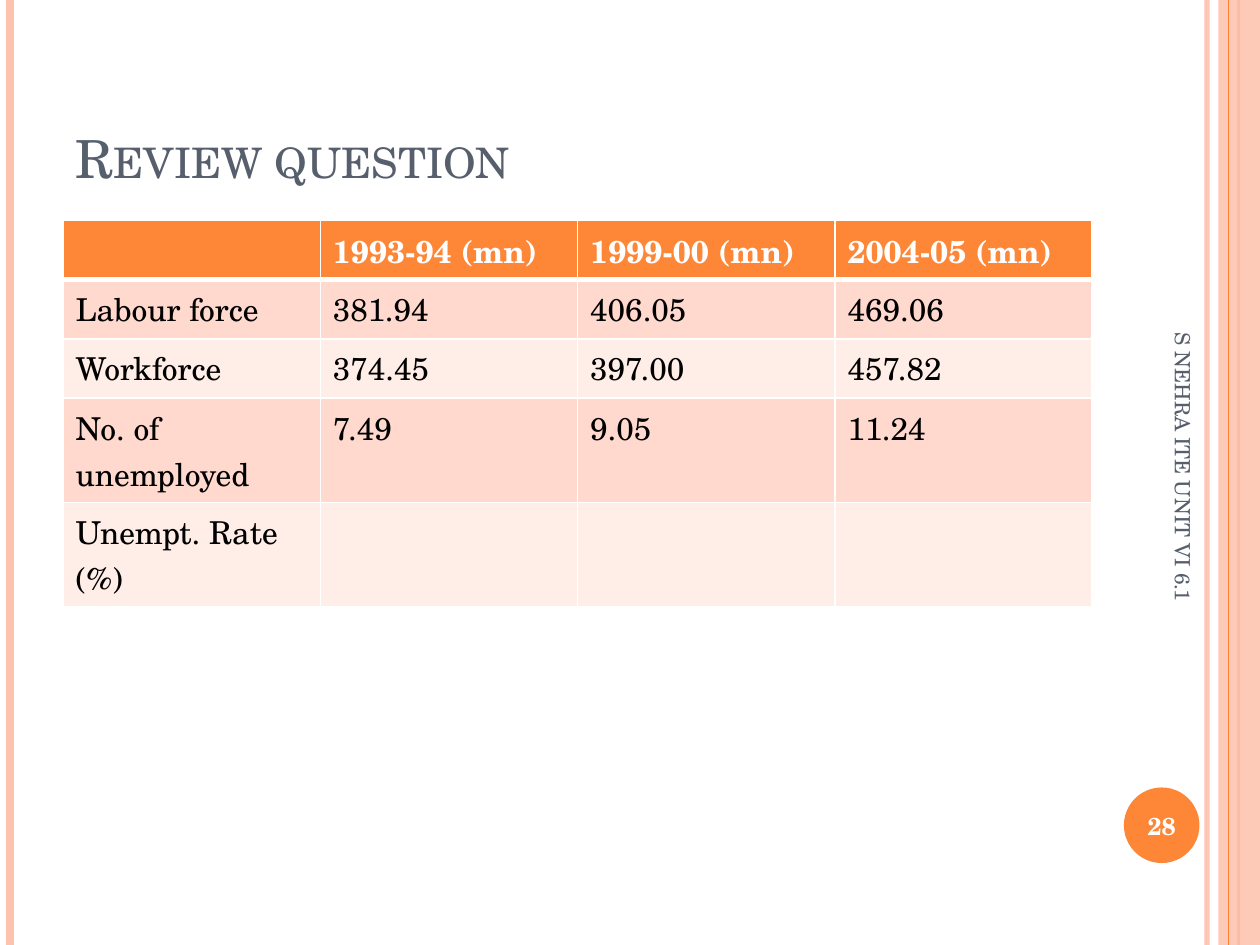
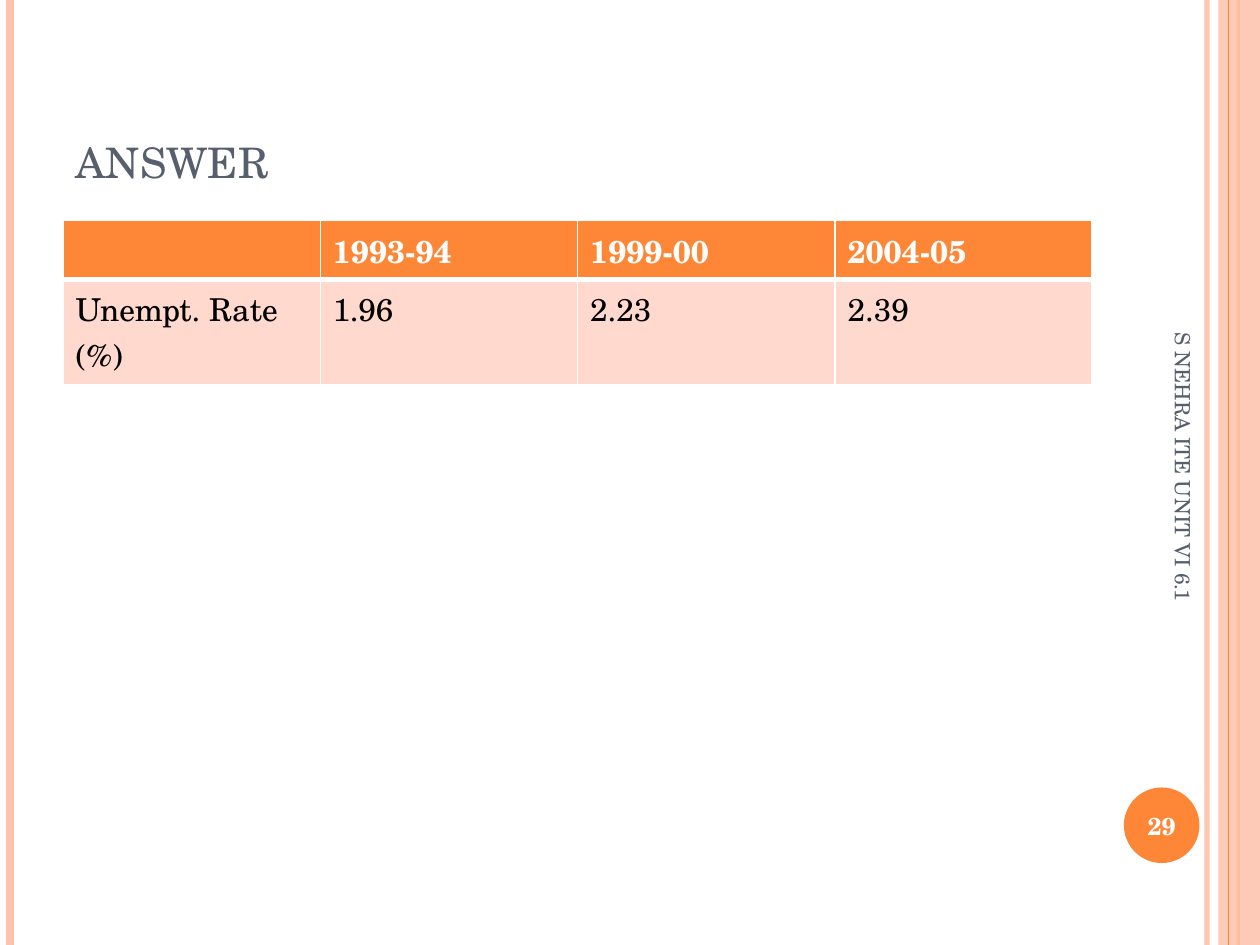
from dataclasses import dataclass

from lxml import etree
from pptx import Presentation
from pptx import util as u
from pptx.dml.color import RGBColor
from pptx.enum import shapes, text
from pptx.oxml.ns import qn

FONT = "TeX Gyre Schola"
HUES = {
    "accent": "FE8637",
    "pale": "FEC3AE",
    "slate": "575F6D",
    "white": "FFFFFF",
    "black": "000000",
    "odd": "FFD9CE",
    "even": "FFEDE8",
}
FOOTER = "S NEHRA ITE UNIT VI 6.1"
SINGLE, DOUBLE = 0.47, 0.83
WRAP = 14


@dataclass
class Rule:
    x: float
    width: float
    hue: str
    alpha: int = 100


@dataclass
class Page:
    title: str
    number: int
    rows: list[list[str]]


UNDER = [Rule(9.58, 3, "pale", 93), Rule(0.08, 4.5, "pale"), Rule(9.83, 1.5, "accent")]
OVER = [Rule(9.75, 0.75, "accent")]

PAGES = [
    Page("Review question", 28, [
        ["", "1993-94 (mn)", "1999-00 (mn)", "2004-05 (mn)"],
        ["Labour force", "381.94", "406.05", "469.06"],
        ["Workforce", "374.45", "397.00", "457.82"],
        ["No. of unemployed", "7.49", "9.05", "11.24"],
        ["Unempt. Rate (%)", "", "", ""],
    ]),
    Page("answer", 29, [
        ["", "1993-94", "1999-00", "2004-05"],
        ["Unempt. Rate (%)", "1.96", "2.23", "2.39"],
    ]),
]


def paint(fill, hue: str) -> None:
    fill.solid()
    fill.fore_color.rgb = RGBColor.from_string(HUES[hue])


def style(para, size: float, hue: str, bold: bool = False) -> None:
    font = para.font
    font.name, font.size, font.bold = FONT, u.Pt(size), bold
    font.color.rgb = RGBColor.from_string(HUES[hue])


def fade(shape, alpha: int) -> None:
    for node in shape._element.xpath(".//a:srgbClr"):
        etree.SubElement(node, qn("a:alpha")).set("val", str(alpha * 1000))


def draw_rule(slide, rule: Rule) -> None:
    x = u.Inches(rule.x)
    line = slide.shapes.add_connector(
        shapes.MSO_CONNECTOR.STRAIGHT, x, 0, x, u.Inches(7.5))
    line.line.width = u.Pt(rule.width)
    paint(line.line.fill, rule.hue)
    etree.SubElement(line._element.spPr, qn("a:effectLst"))
    if rule.alpha < 100:
        fade(line, rule.alpha)


def draw_shape(slide, kind, x: float, y: float, w: float, h: float, hue: str):
    shape = slide.shapes.add_shape(
        kind, u.Inches(x), u.Inches(y), u.Inches(w), u.Inches(h))
    shape.shadow.inherit = False
    paint(shape.fill, hue)
    shape.line.fill.background()
    return shape


def draw_frame(slide, number: int) -> None:
    for rule in UNDER:
        draw_rule(slide, rule)
    band = draw_shape(slide, shapes.MSO_SHAPE.RECTANGLE, 9.67, 0, 0.33, 7.5, "pale")
    fade(band, 87)
    for rule in OVER:
        draw_rule(slide, rule)

    badge = draw_shape(slide, shapes.MSO_SHAPE.OVAL, 8.92, 6.25, 0.6, 0.6, "accent")
    frame = badge.text_frame
    frame.margin_left = frame.margin_right = 0
    frame.vertical_anchor = text.MSO_ANCHOR.MIDDLE
    frame.text = str(number)
    frame.paragraphs[0].alignment = text.PP_ALIGN.CENTER
    style(frame.paragraphs[0], 14, "white", True)

    foot = slide.shapes.add_textbox(
        u.Inches(7.64), u.Inches(4.09), u.Inches(3.5), u.Inches(0.4))
    foot.rotation = 90
    foot.text_frame.word_wrap = True
    foot.text_frame.vertical_anchor = text.MSO_ANCHOR.MIDDLE
    foot.text_frame.text = FOOTER
    style(foot.text_frame.paragraphs[0], 12, "slate")


def draw_title(slide, words: str) -> None:
    title = slide.shapes.title
    title.left, title.top = u.Inches(0.5), u.Inches(0.3)
    title.width, title.height = u.Inches(8.17), u.Inches(1.25)
    frame = title.text_frame
    frame.vertical_anchor = text.MSO_ANCHOR.BOTTOM
    frame.text = words
    para = frame.paragraphs[0]
    para.alignment = text.PP_ALIGN.LEFT
    style(para, 30, "slate")
    para.runs[0]._r.get_or_add_rPr().set("cap", "small")


def edge(cell, widths: dict[str, float]) -> None:
    props = cell._tc.get_or_add_tcPr()
    for spot, (side, width) in enumerate(widths.items()):
        line = etree.Element(qn(f"a:ln{side}"), w=str(u.Pt(width)))
        fill = etree.SubElement(line, qn("a:solidFill"))
        etree.SubElement(fill, qn("a:srgbClr")).set("val", HUES["white"])
        props.insert(spot, line)


def draw_table(slide, rows: list[list[str]]) -> None:
    highs = [DOUBLE if len(row[0]) > WRAP else SINGLE for row in rows]
    table = slide.shapes.add_table(
        len(rows), len(rows[0]), u.Inches(0.5), u.Inches(1.75),
        u.Inches(8.17), u.Inches(sum(highs))).table
    for r, (row, high) in enumerate(zip(rows, highs)):
        table.rows[r].height = u.Inches(high)
        head = r == 0
        hue = "accent" if head else "odd" if r % 2 else "even"
        for c, words in enumerate(row):
            cell = table.cell(r, c)
            cell.text = words
            paint(cell.fill, hue)
            edge(cell, {"L": 1, "R": 1, "T": 3 if r == 1 else 1, "B": 3 if head else 1})
            style(cell.text_frame.paragraphs[0], 18, "white" if head else "black", head)


def main() -> None:
    deck = Presentation()
    deck.slide_width, deck.slide_height = u.Inches(10), u.Inches(7.5)
    for page in PAGES:
        slide = deck.slides.add_slide(deck.slide_layouts[5])
        paint(slide.background.fill, "white")
        draw_frame(slide, page.number)
        draw_title(slide, page.title)
        draw_table(slide, page.rows)
    deck.save("out.pptx")


if __name__ == "__main__":
    main()
